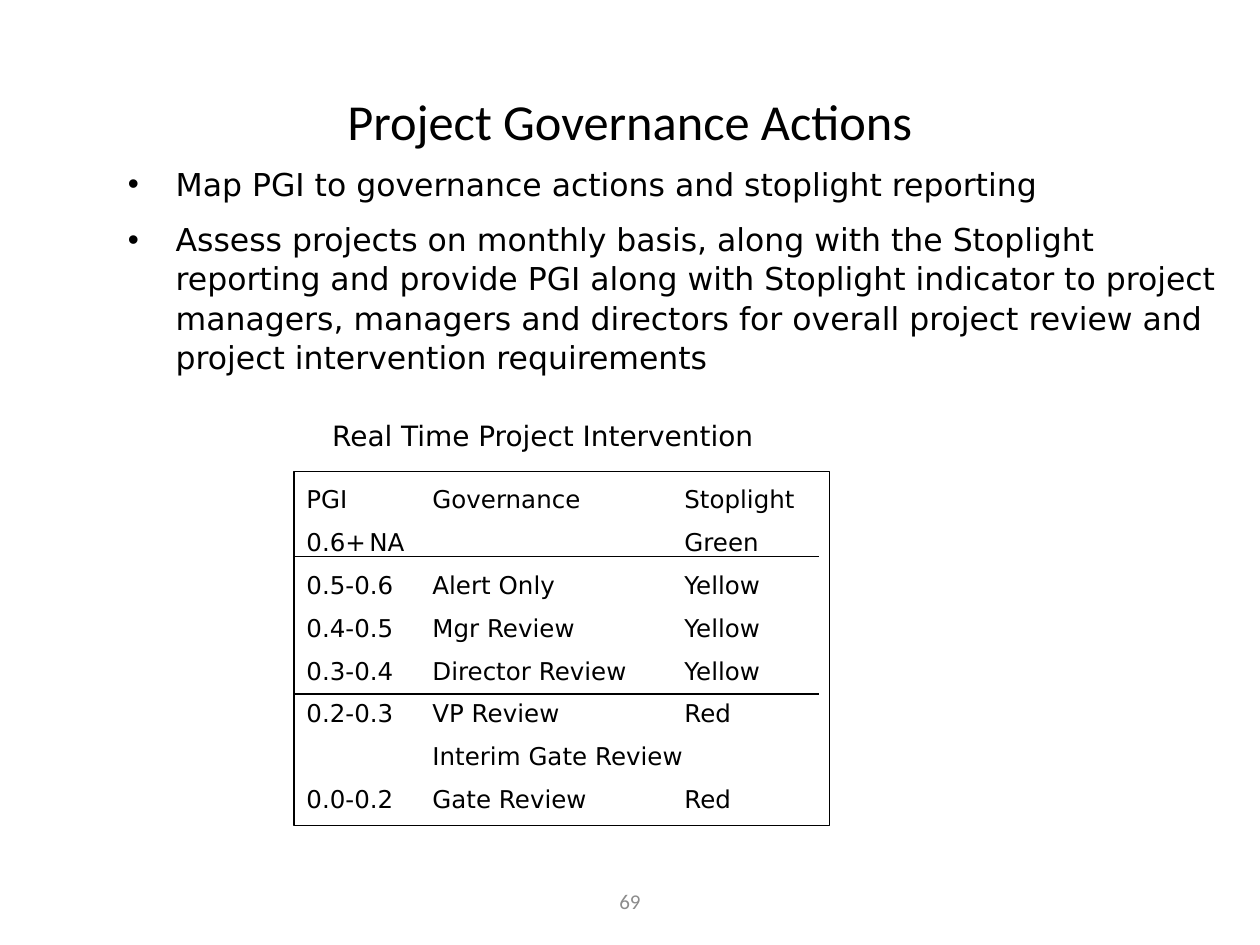
from lxml.etree import SubElement
from pptx import Presentation
from pptx.dml.color import RGBColor
from pptx.enum.shapes import MSO_CONNECTOR, MSO_SHAPE
from pptx.enum.text import MSO_ANCHOR, PP_ALIGN
from pptx.oxml.ns import qn
from pptx.util import Inches, Pt

COLORS = {"ink": "000000", "page_number": "8C8C8C"}

deck = Presentation()
deck.slide_width, deck.slide_height = Inches(10), Inches(7.5)
page = deck.slides.add_slide(deck.slide_layouts[6])
COLUMN = deck.slide_width / 120
ROW = deck.slide_height / 90


def place(left, top, width, height):
    return [round(left * COLUMN), round(top * ROW), round(width * COLUMN), round(height * ROW)]


def write(box, lines, size, font="DejaVu Sans", color="ink", align=PP_ALIGN.LEFT,
          anchor=MSO_ANCHOR.TOP, spacing=1.04, bullet=None, wrap=True):
    frame = box.text_frame
    frame.word_wrap = wrap
    frame.vertical_anchor = anchor
    for index, line in enumerate(lines):
        para = frame.add_paragraph() if index else frame.paragraphs[0]
        para.alignment = align
        para.line_spacing = spacing
        para.space_before = Pt(size / 2)
        properties = para._p.get_or_add_pPr()
        properties.set("defTabSz", str(Inches(0.5)))
        if bullet:
            properties.set("marL", str(Inches(0.88)))
            properties.set("indent", str(Inches(-0.38)))
            SubElement(properties, qn("a:buFont"), typeface="Arial")
            SubElement(properties, qn("a:buChar"), char=bullet)
        span = para.add_run()
        span.text = line
        span.font.size = Pt(size)
        span.font.name = font
        span.font.color.rgb = RGBColor.from_string(COLORS[color])


page_number = page.shapes.add_textbox(*place(41, 83.4, 38, 4.8))
write(page_number, ["69"], 12, font="Calibri", color="page_number",
      align=PP_ALIGN.CENTER, anchor=MSO_ANCHOR.MIDDLE, spacing=1)

title = page.shapes.add_textbox(*place(6, 8, 108, 7))
write(title, ["Project Governance Actions"], 28.8, font="Calibri",
      align=PP_ALIGN.CENTER, anchor=MSO_ANCHOR.MIDDLE, spacing=1)

body = page.shapes.add_textbox(*place(5, 15, 115, 26.4))
write(body, [
    "Map PGI to governance actions and stoplight reporting",
    "Assess projects on monthly basis, along with the Stoplight reporting and provide PGI "
    "along with Stoplight indicator to project managers, managers and directors for overall "
    "project review and project intervention requirements",
], 18, bullet="•")

actions = page.shapes.add_shape(MSO_SHAPE.RECTANGLE, *place(28, 44.9, 51, 33.7))
actions.shadow.inherit = False
actions.fill.background()
actions.line.color.rgb = RGBColor.from_string(COLORS["ink"])
actions.line.width = Pt(0.75)
write(actions, [
    "PGI\t\tGovernance\t\tStoplight",
    "0.6+\tNA\t\t\t\t\tGreen",
    "0.5-0.6\tAlert Only\t\t\tYellow",
    "0.4-0.5\tMgr Review\t\tYellow",
    "0.3-0.4\tDirector Review\tYellow",
    "0.2-0.3\tVP Review\t\tRed",
    "\t\tInterim Gate Review",
    "0.0-0.2\tGate Review \t\tRed\t",
], 14, anchor=MSO_ANCHOR.MIDDLE)

caption = page.shapes.add_textbox(*place(30, 39.1, 43.4, 4.4))
write(caption, ["Real Time Project Intervention"], 16, align=PP_ALIGN.CENTER, wrap=False)

for level in (53, 66.1):
    left, top, width, _ = place(28, level, 50, 0)
    divider = page.shapes.add_connector(MSO_CONNECTOR.STRAIGHT, left, top, left + width, top)
    divider.line.color.rgb = RGBColor.from_string(COLORS["ink"])
    divider.line.width = Pt(0.75)
    SubElement(divider._element.spPr, qn("a:effectLst"))

deck.save("out.pptx")
